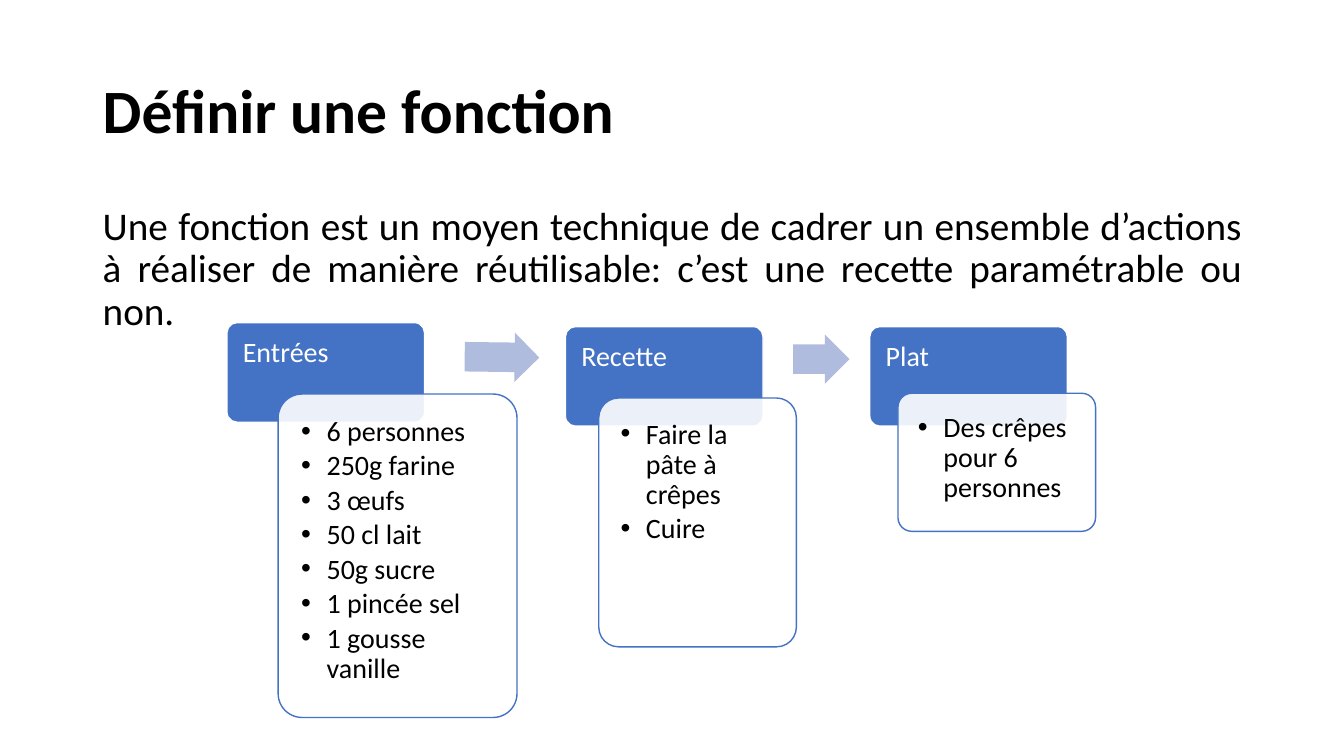
import pptx
import pptx.util
import pptx.dml.color
import pptx.enum.shapes
import pptx.enum.text
import pptx.oxml
import pptx.oxml.ns

Cm, Pt = pptx.util.Cm, pptx.util.Pt
Kind = pptx.enum.shapes.MSO_SHAPE
Anchor = pptx.enum.text.MSO_ANCHOR
Align = pptx.enum.text.PP_ALIGN

INKS = {"blue": "4472C4", "pale": "B0BCDE", "white": "FFFFFF", "black": "000000"}
HEAD_W, HEAD_H = 4.98, 2.51

# head text, head left and top, card (left, top, width, height), items
STEPS = [
    ("Entrées", 5.72, 8.13, (7.01, 9.93, 6.02, 8.15),
     ["6 personnes", "250g farine", "3 œufs", "50 cl lait", "50g sucre",
      "1 pincée sel", "1 gousse vanille"]),
    ("Recette", 14.25, 8.23, (15.09, 10.03, HEAD_W, 6.27),
     ["Faire la pâte à crêpes", "Cuire"]),
    ("Plat", 21.92, 8.23, (22.63, 9.91, HEAD_W, 3.48),
     ["Des crêpes pour 6 personnes"]),
]
# left, top, width, height, turn in degrees
ARROWS = [(11.71, 8.38, 1.88, 1.24, 0.7), (19.99, 8.43, 1.42, 1.24, 0)]


class Deck:
    font = "Calibri"

    def __init__(self):
        self.prs = pptx.Presentation()
        self.prs.slide_width, self.prs.slide_height = Cm(33.87), Cm(19.05)
        self.slide = self.prs.slides.add_slide(self.prs.slide_layouts[6])

    def ink(self, name):
        return pptx.dml.color.RGBColor.from_string(INKS[name])

    def shape(self, kind, box, fill, line=None, adj=(0.1,), alpha=None):
        item = self.slide.shapes.add_shape(kind, *map(Cm, box))
        item.shadow.inherit = False
        for i, value in enumerate(adj):
            item.adjustments[i] = value
        item.fill.solid()
        item.fill.fore_color.rgb = self.ink(fill)
        if alpha:
            tone = item.fill._xPr.find(".//" + pptx.oxml.ns.qn("a:srgbClr"))
            tone.append(pptx.oxml.parse_xml(
                f'<a:alpha {pptx.oxml.ns.nsdecls("a")} val="{alpha * 1000}"/>'))
        if line:
            item.line.color.rgb = self.ink(line)
            item.line.width = Pt(1)
        else:
            item.line.fill.background()
        return item

    def text(self, box, lines, size, ink="black", pads=(0.25, 0.13, 0.25, 0.13),
             anchor=Anchor.TOP, align=Align.LEFT, bold=False, before=0, after=0,
             dots=False):
        frame = self.slide.shapes.add_textbox(*map(Cm, box)).text_frame
        frame.word_wrap = True
        frame.vertical_anchor = anchor
        (frame.margin_left, frame.margin_top,
         frame.margin_right, frame.margin_bottom) = map(Cm, pads)
        for i, line in enumerate(lines):
            para = frame.paragraphs[0] if i == 0 else frame.add_paragraph()
            para.alignment = align
            para.line_spacing = 0.9
            para.space_before, para.space_after = Pt(before), Pt(after)
            if dots:
                self.dot(para)
            run = para.add_run()
            run.text = line
            run.font.name, run.font.size, run.font.bold = self.font, Pt(size), bold
            run.font.color.rgb = self.ink(ink)

    def dot(self, para):
        """Give the paragraph a bullet and a hanging indent."""
        props = para._p.get_or_add_pPr()
        props.set("marL", str(Cm(0.64)))
        props.set("indent", str(-Cm(0.64)))
        space = pptx.oxml.ns.nsdecls("a")
        props.append(pptx.oxml.parse_xml(f'<a:buFont {space} typeface="Arial"/>'))
        props.append(pptx.oxml.parse_xml(f'<a:buChar {space} char="•"/>'))

    def step(self, name, left, top, card, items):
        """Draw a blue head with a see-through card over its lower edge."""
        self.shape(Kind.ROUNDED_RECTANGLE, (left, top, HEAD_W, HEAD_H), "blue", "white")
        self.text((left, top, HEAD_W, HEAD_H * 2 / 3), [name], 20, "white",
                  pads=(0.4, 0.4, 0.4, 0.2), after=7)
        self.shape(Kind.ROUNDED_RECTANGLE, card, "white", "blue", alpha=90)
        x, y, w, h = card
        gap = 0.03 * min(w, h)
        self.text((x + gap, y + gap, w - 2 * gap, h - 2 * gap), items, 20,
                  pads=(0.4,) * 4, after=3, dots=True)

    def arrow(self, *box, turn=0):
        item = self.shape(Kind.RIGHT_ARROW, box, "pale", adj=(0.6, 0.5))
        item.rotation = turn


def main():
    deck = Deck()
    for step in STEPS:
        deck.step(*step)
    for *box, turn in ARROWS:
        deck.arrow(*box, turn=turn)
    deck.text((2.34, 1.02, 29.21, 3.68), ["Définir une fonction"], 44,
              anchor=Anchor.MIDDLE, bold=True)
    deck.text((2.34, 5.08, 29.21, 12.09),
              ["Une fonction est un moyen technique de cadrer un ensemble d’actions "
               "à réaliser de manière réutilisable: c’est une recette paramétrable "
               "ou non."],
              28, align=Align.JUSTIFY, before=10)
    deck.prs.save("out.pptx")


if __name__ == "__main__":
    main()
